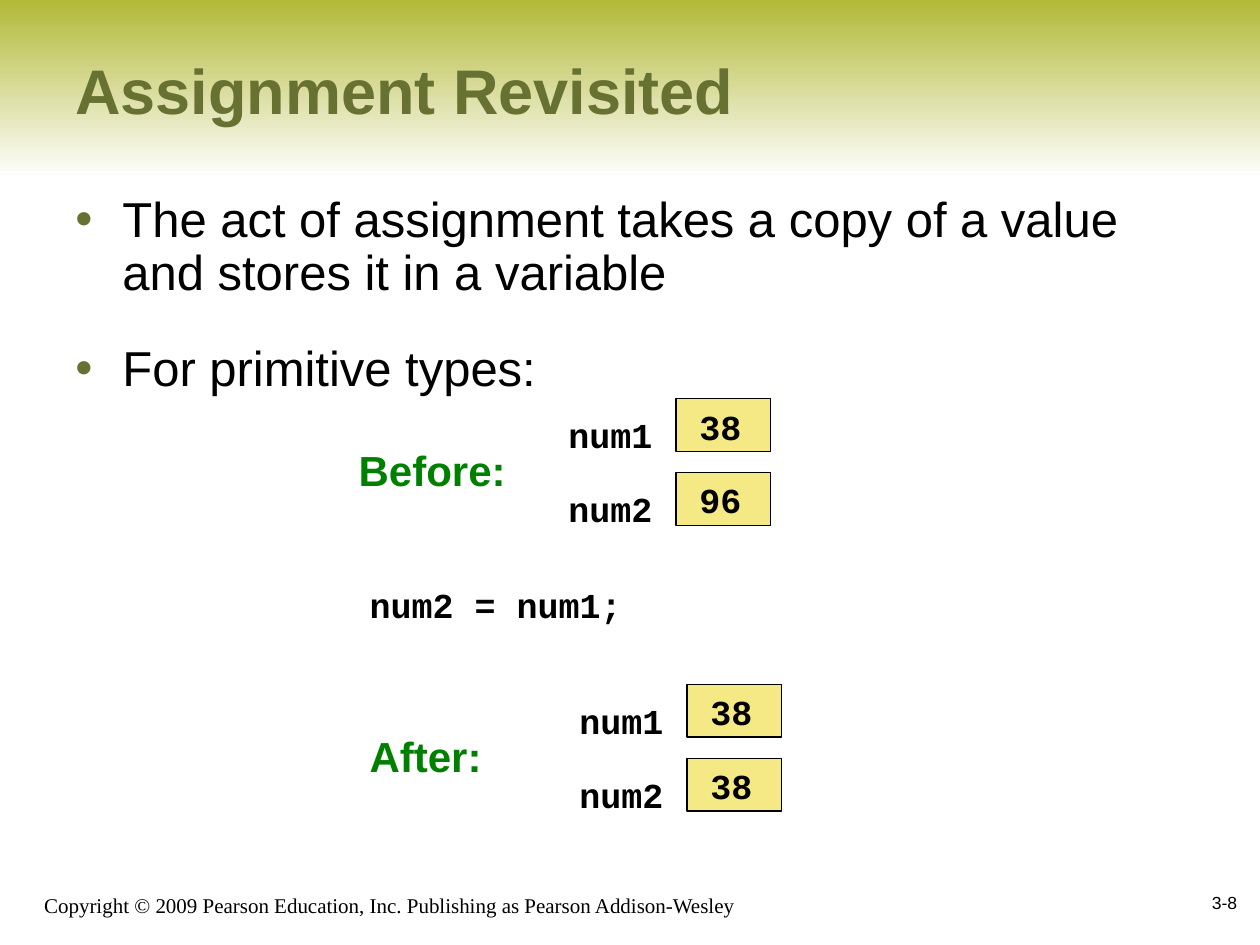
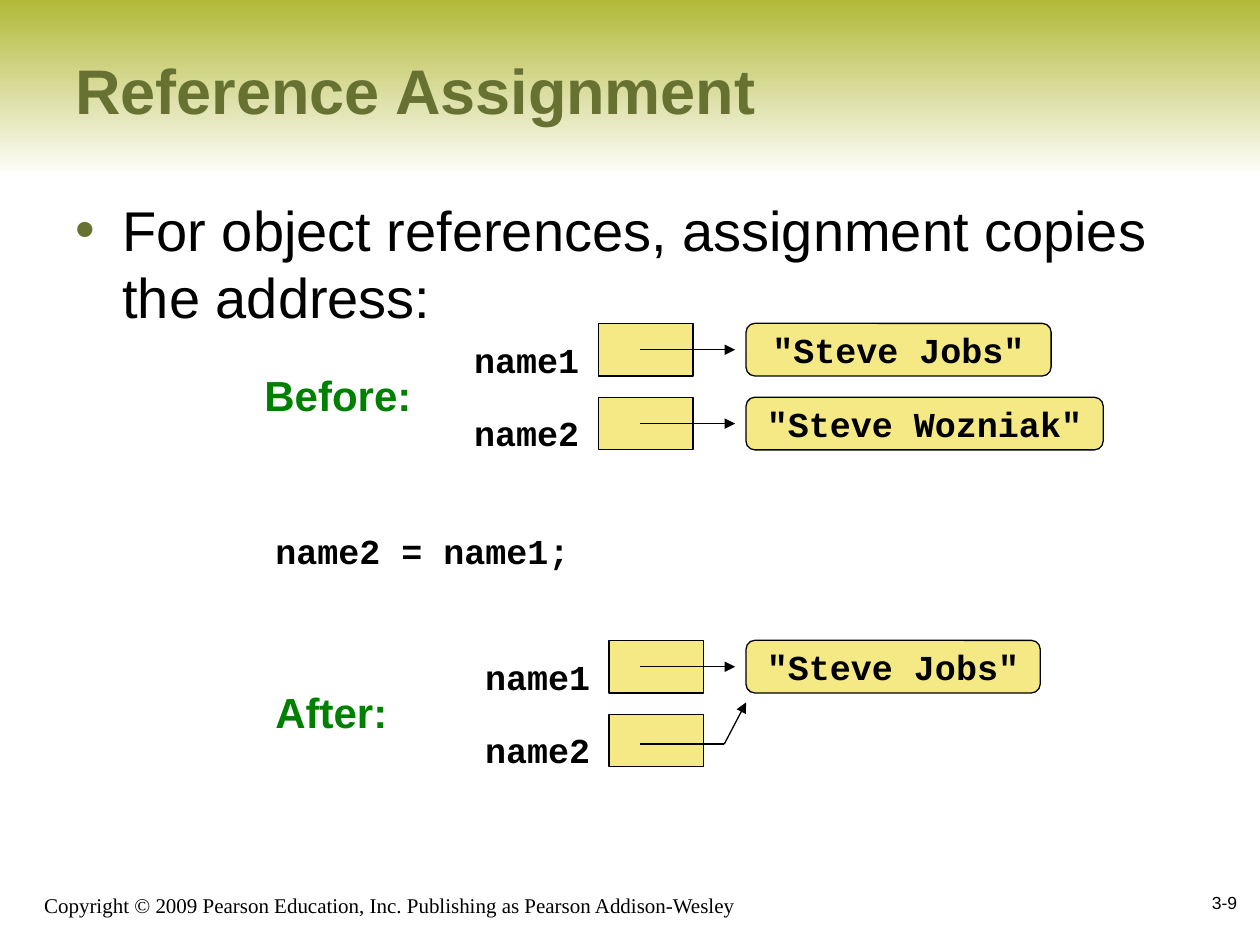
from lxml import etree
from pptx import Presentation
from pptx.dml.color import RGBColor
from pptx.enum.shapes import MSO_CONNECTOR, MSO_SHAPE
from pptx.enum.text import MSO_ANCHOR, MSO_AUTO_SIZE, PP_ALIGN
from pptx.oxml.ns import qn
from pptx.util import Cm, Pt

STRAIGHT = MSO_CONNECTOR.STRAIGHT
RECT, ROUNDED = MSO_SHAPE.RECTANGLE, MSO_SHAPE.ROUNDED_RECTANGLE
TOP, MIDDLE, BOTTOM = MSO_ANCHOR.TOP, MSO_ANCHOR.MIDDLE, MSO_ANCHOR.BOTTOM
LEFT, CENTER, RIGHT = PP_ALIGN.LEFT, PP_ALIGN.CENTER, PP_ALIGN.RIGHT
GROW = MSO_AUTO_SIZE.SHAPE_TO_FIT_TEXT

COLORS = {
    "band": "B2B938", "white": "FFFFFF", "olive": "677132",
    "black": "000000", "green": "008000", "cell": "F5E985",
}
SANS, SERIF, MONO = "Arial", "Times New Roman", "Courier New"
COPYRIGHT = ("Copyright © 2009 Pearson Education, Inc. "
             "Publishing as Pearson Addison-Wesley")

# Memory diagram measures, in cm
ROW_PITCH = 1.49
CELL_W, CELL_H = 1.91, 1.06
NAME_DX, NAME_DY = 4.23, 0.17
VALUE_DX = 0.22
LABEL_DY = 0.8
CODE_H, CODE_PADDING, CHAR_W = 1.11, 0.55, 0.43
ARROW_START, ARROW_END, OBJECT_X = 12.9, 14.82, 15.04


def color(name):
    return RGBColor.from_string(COLORS[name])


def add_run(paragraph, text, size, font=SANS, ink="black", bold=False):
    run = paragraph.add_run()
    run.text = text
    run.font.size, run.font.name, run.font.bold = Pt(size), font, bold
    run.font.color.rgb = color(ink)


def add_text(parent, box, text, size, anchor=TOP, align=LEFT, **style):
    frame = parent.shapes.add_textbox(*map(Cm, box)).text_frame
    frame.word_wrap, frame.vertical_anchor = True, anchor
    frame.paragraphs[0].alignment = align
    add_run(frame.paragraphs[0], text, size, **style)
    return frame


def add_code(parent, x, y, text):
    """Code on one line, in a box sized by its fixed-width characters."""
    width = CODE_PADDING + CHAR_W * len(text)
    frame = add_text(parent, (x, y, width, CODE_H), text, 20,
                     font=MONO, bold=True)
    frame.auto_size = GROW


def add_box(parent, kind, x, y, width):
    box = parent.shapes.add_shape(kind, Cm(x), Cm(y), Cm(width), Cm(CELL_H))
    box.shadow.inherit = False
    box.fill.solid()
    box.fill.fore_color.rgb = color("cell")
    box.line.color.rgb = color("black")
    box.line.width = Pt(0.75)
    return box


def add_line(parent, start, end, arrow=True):
    line = parent.shapes.add_connector(STRAIGHT, *map(Cm, (*start, *end)))
    line.line.color.rgb = color("black")
    line.line.width = Pt(0.75)
    if arrow:
        etree.SubElement(line.line._get_or_add_ln(), qn("a:tailEnd"),
                         type="triangle")
    etree.SubElement(line._element.spPr, qn("a:effectLst"))


def add_frame(deck, title, number):
    """Slide with the shared band, title, copyright line and number."""
    slide = deck.slides.add_slide(deck.slide_layouts[6])
    band = slide.shapes.add_shape(RECT, 0, 0, deck.slide_width, Cm(3.6))
    band.shadow.inherit = False
    band.line.fill.background()
    band.fill.gradient()
    band.fill.gradient_angle = 270
    for stop, name in zip(band.fill.gradient_stops, ("band", "white")):
        stop.color.rgb = color(name)
    add_text(slide, (0.64, 17.57, 15.45, 1.06), COPYRIGHT, 12,
             anchor=BOTTOM, font=SERIF)
    add_text(slide, (19.9, 17.56, 5.29, 1.27), number, 10,
             anchor=MIDDLE, align=RIGHT)
    add_text(slide, (1.27, 0.22, 23.06, 3.18), title, 36,
             anchor=MIDDLE, ink="olive", bold=True)
    return slide


def add_bullets(slide, box, points, size, spacing, gap=0):
    frame = slide.shapes.add_textbox(*map(Cm, box)).text_frame
    frame.word_wrap = True
    for index, point in enumerate(points):
        paragraph = frame.add_paragraph() if index else frame.paragraphs[0]
        props = paragraph._p.get_or_add_pPr()
        props.set("marL", str(Cm(0.95)))
        props.set("indent", str(-Cm(0.95)))
        bullet_color = etree.SubElement(props, qn("a:buClr"))
        etree.SubElement(bullet_color, qn("a:srgbClr"), val=COLORS["olive"])
        etree.SubElement(props, qn("a:buFont"), typeface=SANS)
        etree.SubElement(props, qn("a:buChar"), char="•")
        paragraph.line_spacing = spacing
        if index:
            paragraph.space_before = Pt(gap)
        add_run(paragraph, point, size)


def add_variables(slide, x, y, label, names, cell_dx):
    """Label with one named cell per row; returns the group and cell corners."""
    group = slide.shapes.add_group_shape()
    add_text(group, (x, y + LABEL_DY, 3.5, 1.27), label, 24,
             ink="green", bold=True)
    corners = []
    for row, name in enumerate(names):
        top = y + row * ROW_PITCH
        add_code(group, x + NAME_DX, top + NAME_DY, name)
        add_box(group, RECT, x + cell_dx, top, CELL_W)
        corners.append((x + cell_dx, top))
    return group, corners


def add_primitives(slide, x, y, label, values):
    group, corners = add_variables(slide, x, y, label, ("num1", "num2"), 6.65)
    for (left, top), value in zip(corners, values):
        add_code(group, left + VALUE_DX, top, value)


def add_references(slide, x, y, label, objects):
    """Cells that point at objects; a cell without its own shares the first."""
    group, corners = add_variables(slide, x, y, label, ("name1", "name2"), 6.98)
    for row, (_, top) in enumerate(corners):
        middle = top + CELL_H / 2
        if row < len(objects):
            text, width = objects[row]
            target = add_box(group, ROUNDED, OBJECT_X, top, width)
            frame = target.text_frame
            frame.word_wrap, frame.vertical_anchor = False, MIDDLE
            frame.paragraphs[0].alignment = CENTER
            add_run(frame.paragraphs[0], text, 20, font=MONO, bold=True)
            add_line(group, (ARROW_START, middle), (ARROW_END, middle))
        else:
            bend = (14.6, middle + 0.07)
            add_line(group, bend, (OBJECT_X, y + CELL_H + 0.19))
            add_line(group, bend, (ARROW_START, bend[1]), arrow=False)


def build_primitive_slide(deck):
    slide = add_frame(deck, "Assignment Revisited", "3-8")
    add_bullets(slide, (1.27, 3.81, 23.06, 4.32), (
        "The act of assignment takes a copy of a value and stores it in a variable",
        "For primitive types:",
    ), 28, 0.9, 24.5)
    add_primitives(slide, 6.98, 8.04, "Before:", ("38", "96"))
    add_code(slide, 7.2, 11.64, "num2 = num1;")
    add_primitives(slide, 7.2, 13.8, "After:", ("38", "38"))


def build_reference_slide(deck):
    slide = add_frame(deck, "Reference Assignment", "3-9")
    add_bullets(slide, (1.27, 3.81, 23.06, 3.1), (
        "For object references, assignment copies the address:",
    ), 32, 1.0)
    add_references(slide, 5.08, 6.52, "Before:",
                   (('"Steve Jobs"', 6.15), ('"Steve Wozniak"', 7.2)))
    add_code(slide, 5.3, 10.54, "name2 = name1;")
    add_references(slide, 5.3, 12.91, "After:", (('"Steve Jobs"', 5.93),))


def main():
    deck = Presentation()
    deck.slide_width, deck.slide_height = Cm(25.4), Cm(19.05)
    build_primitive_slide(deck)
    build_reference_slide(deck)
    deck.save("out.pptx")


if __name__ == "__main__":
    main()
